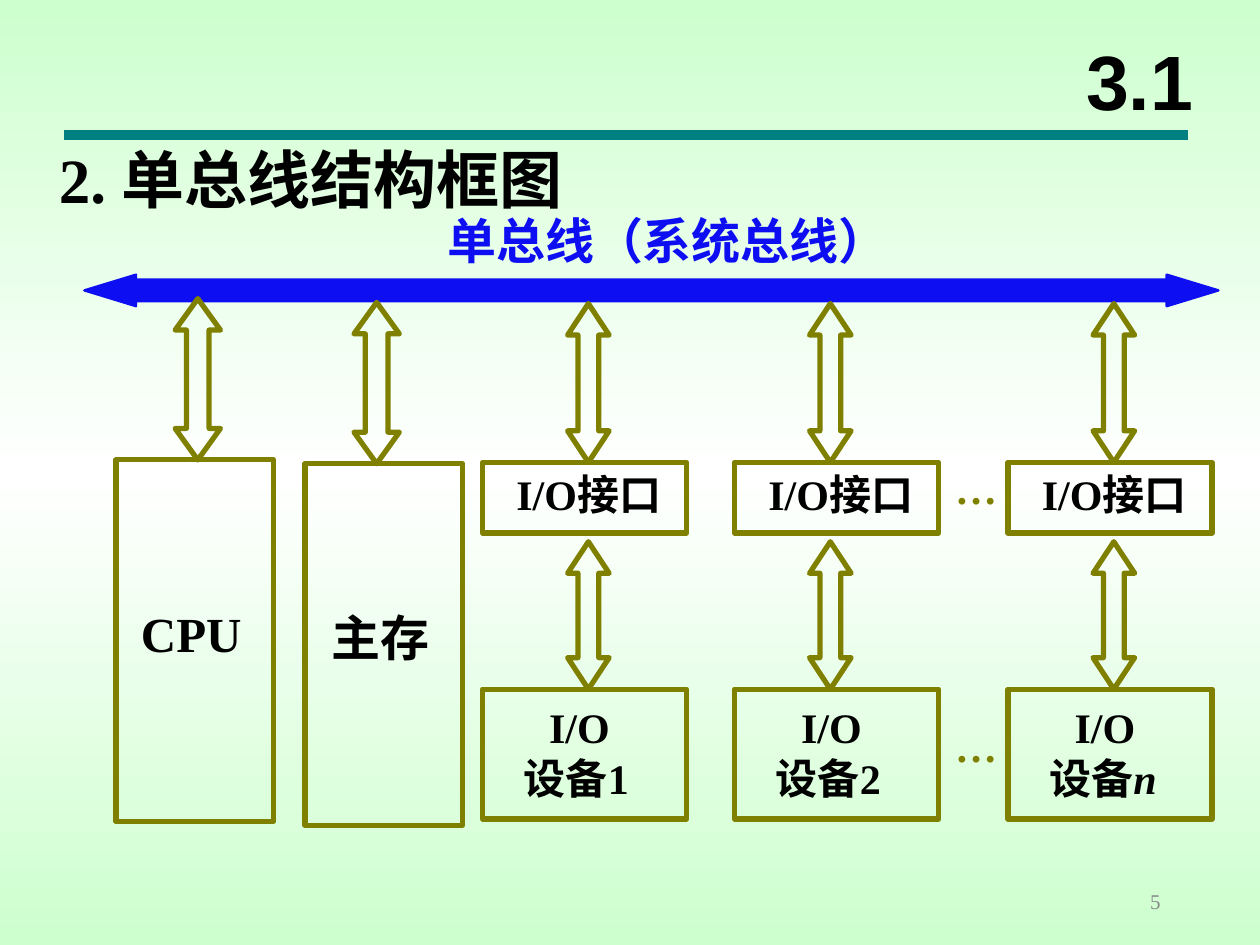
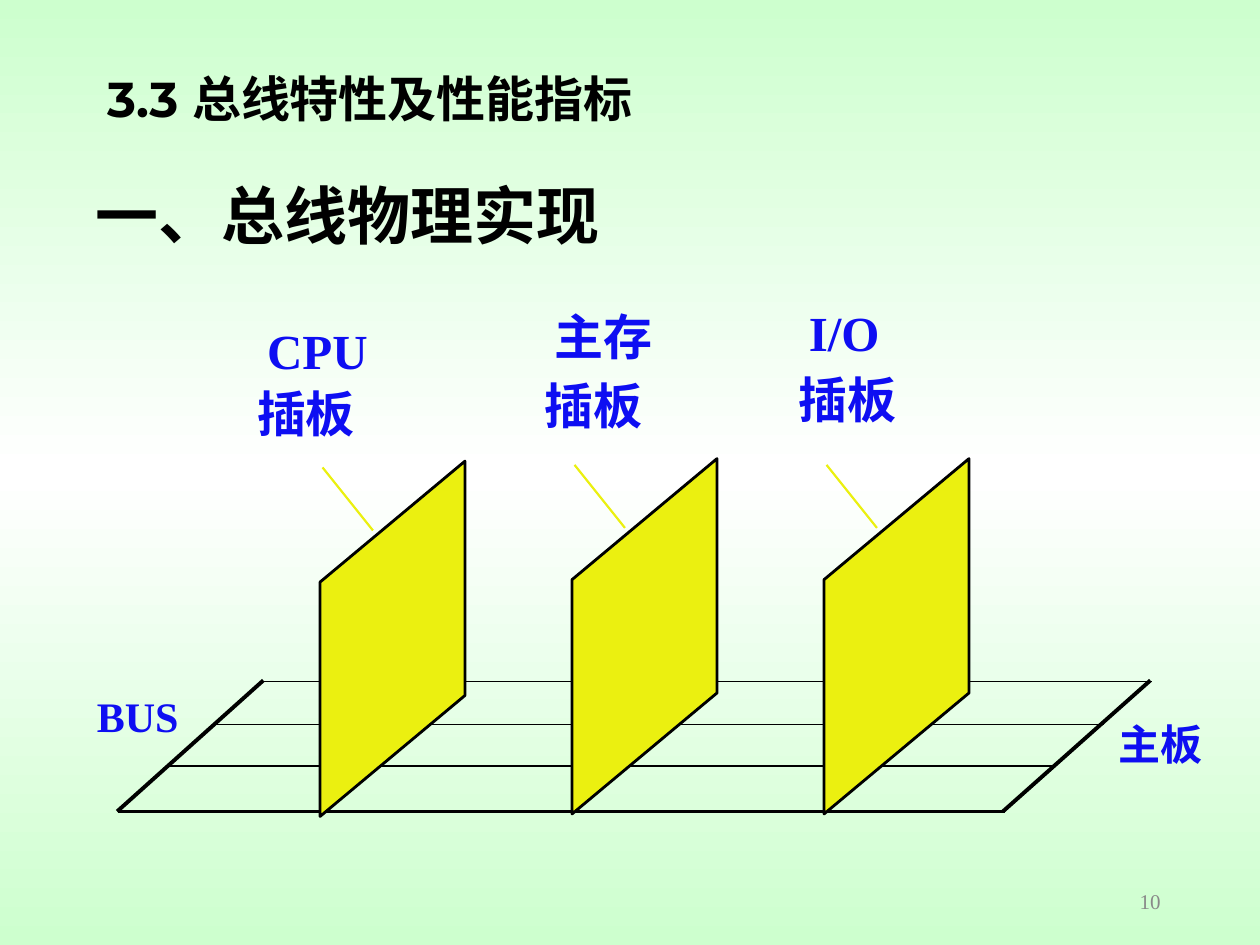
from copy import deepcopy

from lxml.etree import SubElement as Sub
from pptx import Presentation
from pptx.dml.color import RGBColor
from pptx.enum.shapes import MSO_CONNECTOR as Link, MSO_SHAPE as Kind
from pptx.enum.text import MSO_ANCHOR as Anchor, MSO_AUTO_SIZE as Fit, PP_ALIGN as Align
from pptx.oxml.ns import qn
from pptx.util import Inches, Pt

MINT = RGBColor(0xCD, 0xFF, 0xCE)
WHITE = RGBColor(0xFF, 0xFF, 0xFF)
BLACK = RGBColor(0, 0, 0)
BLUE = RGBColor(0x0E, 0x0E, 0xF2)
OLIVE = RGBColor(0x80, 0x80, 0x00)
TEAL = RGBColor(0x00, 0x80, 0x80)
YELLOW = RGBColor(0xEB, 0xF0, 0x10)
GREY = RGBColor(0x89, 0x89, 0x89)

SERIF = "Times New Roman"
HAN = "Noto Sans CJK SC"


def write(para, text, size=24, font=SERIF, color=BLACK, bold=True,
          italic=False, align=Align.LEFT, indent=0):
    para.alignment = align
    para.line_spacing = 1.0
    para.space_before = Pt(0)
    props = para._p.get_or_add_pPr()
    props.set("marL", str(Inches(indent)))
    props.set("indent", "0")
    run = para.add_run()
    run.text = text
    face = run.font
    face.size, face.name, face.bold, face.italic = Pt(size), font, bold, italic
    face.color.rgb = color
    Sub(run._r.get_or_add_rPr(), qn("a:ea")).set("typeface", HAN)


def frame(shape, inset=(0.1, 0.05, 0.1, 0.05), anchor=Anchor.TOP):
    body = shape.text_frame
    body.word_wrap = True
    body.auto_size = Fit.NONE
    body.vertical_anchor = anchor
    left, top, right, bottom = map(Inches, inset)
    body.margin_left, body.margin_top = left, top
    body.margin_right, body.margin_bottom = right, bottom
    return body


def place(shape, left, top, width, height):
    shape.left, shape.top = Inches(left), Inches(top)
    shape.width, shape.height = Inches(width), Inches(height)


def label(slide, text, left, top, width, height, pad=True,
          anchor=Anchor.TOP, **style):
    box = slide.shapes.add_textbox(*map(Inches, (left, top, width, height)))
    inset = (0.1, 0.05, 0.1, 0.05) if pad else (0, 0, 0, 0)
    write(frame(box, inset, anchor).paragraphs[0], text, **style)


def head(slide, text, spot, anchor, **style):
    title = slide.shapes.title
    place(title, *spot)
    write(frame(title, anchor=anchor).paragraphs[0], text, **style)


def paint(shape, fill, line, width):
    shape.shadow.inherit = False
    if fill is None:
        shape.fill.background()
    else:
        shape.fill.solid()
        shape.fill.fore_color.rgb = fill
    shape.line.color.rgb = line
    shape.line.width = Pt(width)


def block(slide, kind, left, top, width, height, fill=None, line=OLIVE, weight=3):
    shape = slide.shapes.add_shape(kind, *map(Inches, (left, top, width, height)))
    paint(shape, fill, line, weight)
    return shape


def outline(slide, points, fill, line, weight):
    first, *rest = [(Inches(x), Inches(y)) for x, y in points]
    pen = slide.shapes.build_freeform(*first)
    pen.add_line_segments(rest, close=True)
    paint(pen.convert_to_shape(), fill, line, weight)


def arrow(slide, mid, top, bottom, width=0.33):
    wing, stem = width / 2, width / 4
    neck, base = top + 0.25, bottom - 0.25
    side = [(wing, neck), (stem, neck), (stem, base), (wing, base)]
    points = [(mid, top)] + [(mid + x, y) for x, y in side]
    points += [(mid, bottom)] + [(mid - x, y) for x, y in reversed(side)]
    outline(slide, points, None, OLIVE, 3)


def rule(slide, start, end, color=BLACK, width=0.75):
    line = slide.shapes.add_connector(Link.STRAIGHT, *map(Inches, start + end))
    line.line.color.rgb = color
    line.line.width = Pt(width)
    Sub(line._element.spPr, qn("a:effectLst"))


def unit(slide, text, left, top, mid, indent):
    box = block(slide, Kind.RECTANGLE, left, top, 1.25, 2.87)
    body = frame(box, (0.1, 0.05, 0.1, 0.17), Anchor.MIDDLE)
    write(body.paragraphs[0], text, size=28, indent=indent)
    arrow(slide, mid, top - 1.28, top, 0.36)


def device(slide, mark, left, mid, slant=False):
    port = block(slide, Kind.RECTANGLE, left, 3.67, 1.62, 0.56)
    write(frame(port).paragraphs[0], "I/O接口", indent=0.17)
    arrow(slide, mid, 2.41, 3.67)
    arrow(slide, mid, 4.3, 5.47)
    box = block(slide, Kind.RECTANGLE, left, 5.47, 1.62, 1.03)
    body = frame(box, (0.1, 0.1, 0.1, 0.05))
    write(body.paragraphs[0], "I/O", indent=0.43)
    name = body.add_paragraph()
    write(name, "设备", indent=0.23)
    write(name, mark, italic=slant, indent=0.23)


def board(slide, left, top):
    right = left + 1.15
    points = [(left, top + 0.96), (right, top), (right, top + 1.86), (left, top + 2.82)]
    outline(slide, points, YELLOW, BLACK, 1.62)
    rule(slide, (left + 0.02, top + 0.05), (left + 0.42, top + 0.55), YELLOW, 1.25)


def shade(master):
    fill = master.background.fill
    fill.gradient()
    fill.gradient_angle = 90
    for stop in fill.gradient_stops:
        stop.color.rgb = MINT
    start = next(master.element.iter(qn("a:gs")))
    start.addnext(deepcopy(start))
    for stop, spot, color in zip(fill.gradient_stops, (0, 0.5, 1), (MINT, WHITE, MINT)):
        stop.position = spot
        stop.color.rgb = color


def page(deck, number):
    slide = deck.slides.add_slide(deck.slide_layouts[5])
    label(slide, number, 7.06, 6.95, 2.25, 0.4, anchor=Anchor.MIDDLE,
          size=12, color=GREY, bold=False, align=Align.RIGHT)
    return slide


def draw_bus(deck):
    slide = page(deck, "5")
    head(slide, "3.1", (8.42, 0.17, 1.25, 0.92), Anchor.MIDDLE,
         size=44, font="Arial", align=Align.CENTER)
    rule(slide, (0.51, 1.07), (9.43, 1.07), TEAL, 6)
    label(slide, "2. 单总线结构框图", 0.37, 1.07, 4.8, 0.7, size=36)
    label(slide, "单总线（系统总线）", 3.55, 1.67, 3.8, 0.47, pad=False,
          size=28, font=HAN, color=BLUE)
    bus = block(slide, Kind.LEFT_RIGHT_ARROW, 0.67, 2.18, 9, 0.25, BLUE, BLUE, 1.39)
    bus.adjustments[0] = 0.68
    bus.adjustments[1] = 1.64
    unit(slide, "CPU", 0.92, 3.65, 1.57, 0.1)
    unit(slide, "主存", 2.42, 3.68, 2.99, 0.11)
    device(slide, "1", 3.83, 4.67)
    device(slide, "2", 5.83, 6.59)
    device(slide, "n", 8, 8.84, slant=True)
    for top in (3.67, 5.72):
        label(slide, "…", 7.58, top, 0.42, 0.4, pad=False, color=OLIVE)


def draw_boards(deck):
    slide = page(deck, "10")
    head(slide, "3.3 总线特性及性能指标", (0.75, 0, 8.5, 1.06), Anchor.BOTTOM,
         size=28, font="Montserrat")
    label(slide, "一、总线物理实现", 0.66, 1.35, 4.6, 0.7, size=36)
    for left, right, y in ((2.07, 9.14, 5.41), (1.71, 8.76, 5.75), (1.35, 8.38, 6.08)):
        rule(slide, (left, y), (right, y))
    rule(slide, (0.94, 6.44), (7.98, 6.44), width=1.62)
    for top, foot in ((2.09, 0.93), (9.13, 7.96)):
        rule(slide, (top, 5.4), (foot, 6.44), width=2.25)
    label(slide, "BUS", 0.67, 5.43, 1, 0.5, color=BLUE)
    label(slide, "主板", 8.78, 5.65, 1, 0.5, color=BLUE)
    cards = (
        ("CPU", 2.54, 3.66, (2.12, 2.54), (2.04, 3.04)),
        ("主存", 4.54, 3.64, (4.4, 2.43), (4.32, 2.98)),
        ("I/O", 6.54, 3.64, (6.42, 2.4), (6.34, 2.93)),
    )
    for name, left, top, upper, lower in cards:
        board(slide, left, top)
        label(slide, name, *upper, 1, 0.47, pad=False, size=28, color=BLUE)
        label(slide, "插板", *lower, 1, 0.47, pad=False, size=28, font=HAN, color=BLUE)


def main():
    deck = Presentation()
    deck.slide_width, deck.slide_height = Inches(10), Inches(7.5)
    shade(deck.slide_master)
    draw_bus(deck)
    draw_boards(deck)
    deck.save("out.pptx")


if __name__ == "__main__":
    main()
